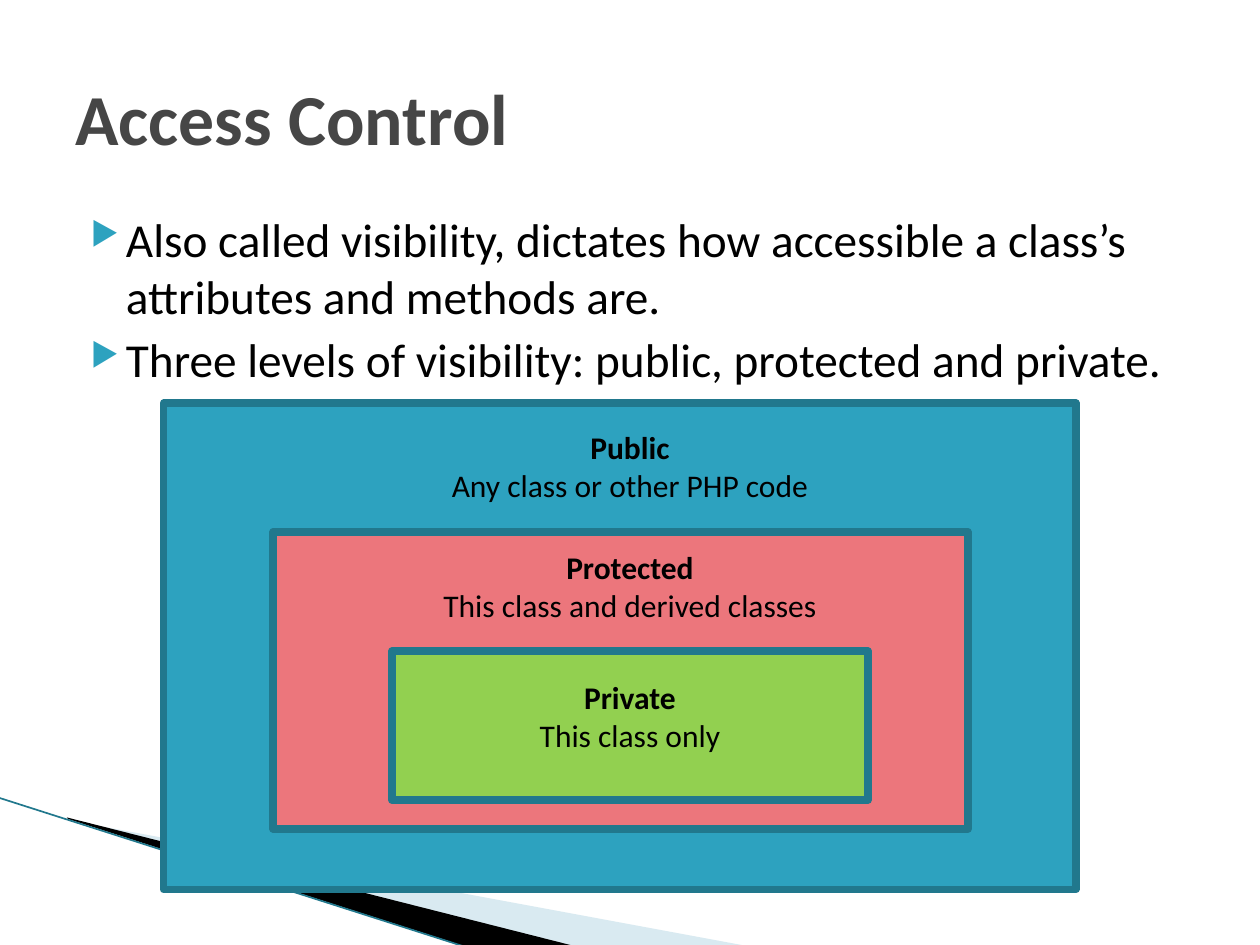
from lxml import etree
from pptx import Presentation
from pptx import util as u
from pptx.dml.color import RGBColor
from pptx.enum import shapes, text
from pptx.oxml.ns import qn

BLACK = RGBColor(0x00, 0x00, 0x00)
GREY = RGBColor(0x46, 0x46, 0x46)
TEAL = RGBColor(0x2D, 0xA2, 0xBF)
DARK_TEAL = RGBColor(0x21, 0x78, 0x8D)
PALE_BLUE = RGBColor(0xA0, 0xCB, 0xDC)
PINK = RGBColor(0xEC, 0x76, 0x7C)
GREEN = RGBColor(0x92, 0xD0, 0x50)

presentation = Presentation()
presentation.slide_width = u.Cm(25.4)
presentation.slide_height = u.Cm(19.05)
slide = presentation.slides.add_slide(presentation.slide_layouts[6])


def add_text(box, lines, size, color, anchor=text.MSO_ANCHOR.TOP):
    frame = slide.shapes.add_textbox(*map(u.Cm, box)).text_frame
    frame.word_wrap = True
    frame.vertical_anchor = anchor
    frame.text = "\n".join(lines)
    for paragraph in frame.paragraphs:
        paragraph.font.name = "Calibri"
        paragraph.font.size = u.Pt(size)
        paragraph.font.color.rgb = color
    return frame.paragraphs


wedges = [
    (PALE_BLUE, [(1.4, 16.54), (15.11, 19.08), (11.58, 19.08), (1.4, 16.51)]),
    (BLACK, [(1.35, 16.48), (11.61, 19.08), (9.45, 19.1), (1.37, 16.51)]),
]
for color, points in wedges:
    start, *others = [(u.Cm(x), u.Cm(y)) for x, y in points]
    builder = slide.shapes.build_freeform(*start)
    builder.add_line_segments(others)
    wedge = builder.convert_to_shape()
    wedge.shadow.inherit = False
    wedge.fill.solid()
    wedge.fill.fore_color.rgb = color
    wedge.line.fill.background()
    if color == PALE_BLUE:
        fill_color = wedge.fill._xPr.find(qn("a:solidFill"))[0]
        etree.SubElement(fill_color, qn("a:alpha"), val="40000")

edge = slide.shapes.add_connector(
    shapes.MSO_CONNECTOR.STRAIGHT, u.Cm(-0.03), u.Cm(16.08), u.Cm(9.42), u.Cm(19.1))
edge.line.color.rgb = DARK_TEAL
edge.line.width = u.Pt(0.95)
etree.SubElement(edge._element.spPr, qn("a:effectLst"))

bullets = add_text((1.27, 4.11, 22.86, 4.62), [
    "Also called visibility, dictates how accessible a class’s attributes and methods are.",
    "Three levels of visibility: public, protected and private.",
], 27, BLACK)
for paragraph in bullets:
    paragraph.space_before = u.Pt(4)
    properties = paragraph._p.get_or_add_pPr()
    properties.set("marL", str(u.Cm(1.02)))
    properties.set("indent", str(u.Cm(-0.71)))
    bullet_color = etree.Element(qn("a:buClr"))
    etree.SubElement(bullet_color, qn("a:srgbClr"), val=str(TEAL))
    bullet_size = etree.Element(qn("a:buSzPct"), val="68000")
    bullet = etree.Element(qn("a:buChar"), char="▶")
    for element in (bullet_color, bullet_size, bullet):
        properties.find(qn("a:defRPr")).addprevious(element)

title = add_text((1.27, 0.76, 22.86, 3.18), ["Access Control"], 41, GREY,
                 text.MSO_ANCHOR.MIDDLE)
title[0].font.bold = True

levels = [
    ((3.3, 8.13, 18.39, 9.8), TEAL, 8.51, "Public", "Any class or other PHP code"),
    ((5.51, 10.72, 14, 5.99), PINK, 10.92, "Protected", "This class and derived classes"),
    ((7.9, 13.13, 9.6, 3), GREEN, 13.54, "Private", "This class only"),
]
for box, color, label_top, name, scope in levels:
    level = slide.shapes.add_shape(shapes.MSO_SHAPE.RECTANGLE, *map(u.Cm, box))
    level.shadow.inherit = False
    level.fill.solid()
    level.fill.fore_color.rgb = color
    level.line.color.rgb = DARK_TEAL
    level.line.width = u.Pt(4.33)
    etree.SubElement(level.line._ln, qn("a:round"))
    label = add_text((7.7, label_top, 10, 1.8), [name, scope], 18, BLACK)
    label[0].font.bold = True
    for paragraph in label:
        paragraph.alignment = text.PP_ALIGN.CENTER

presentation.save("out.pptx")
